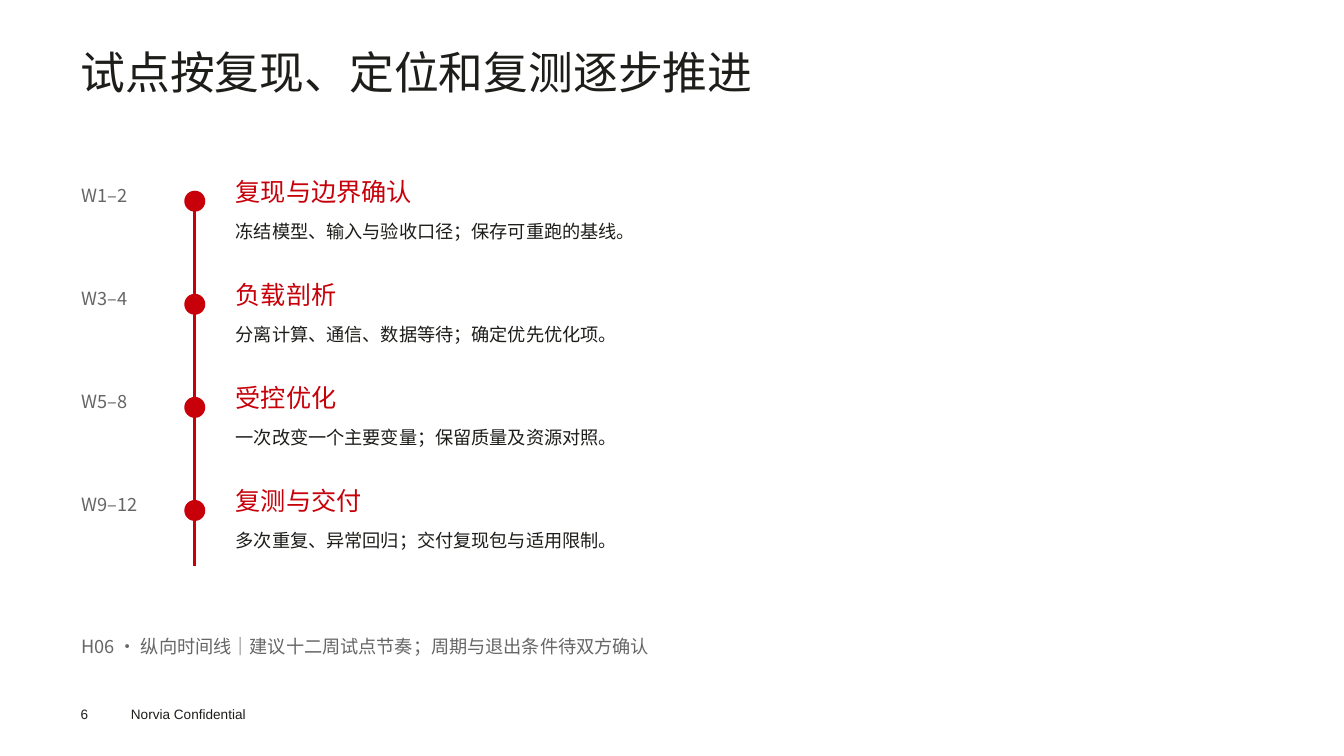
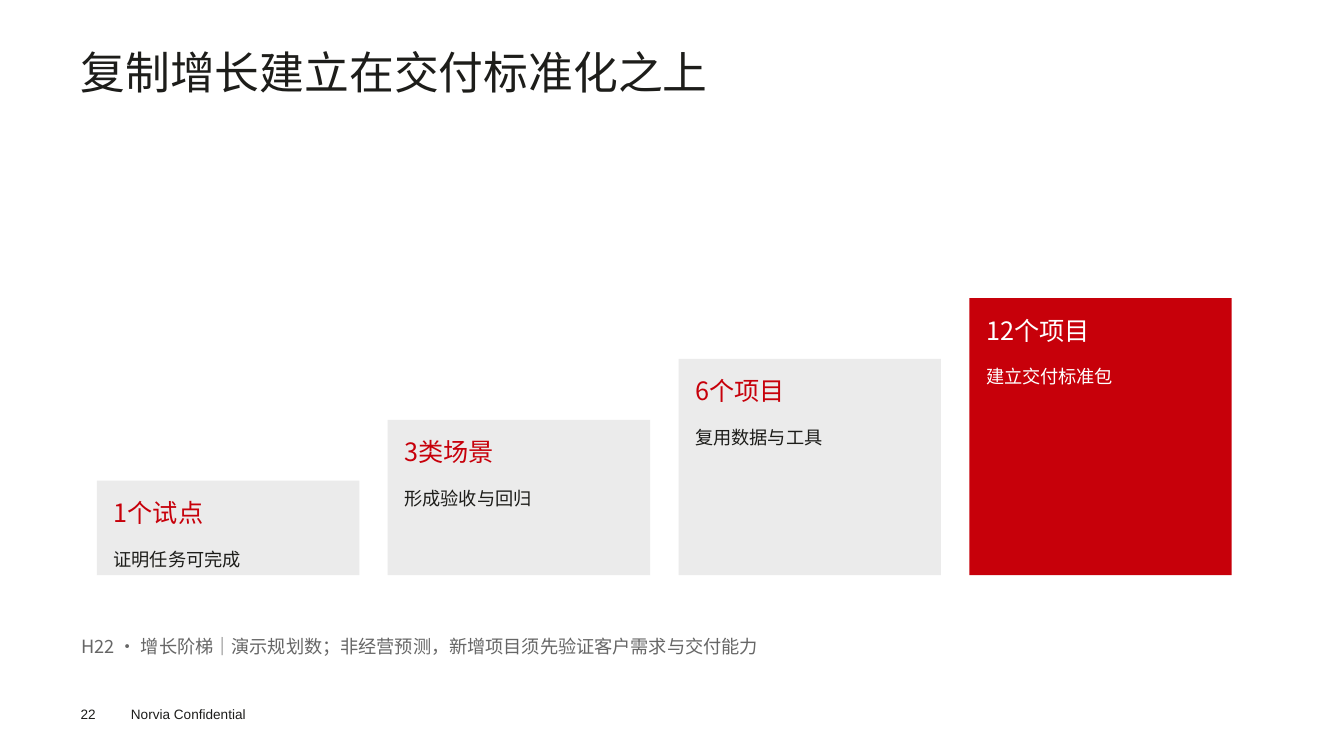
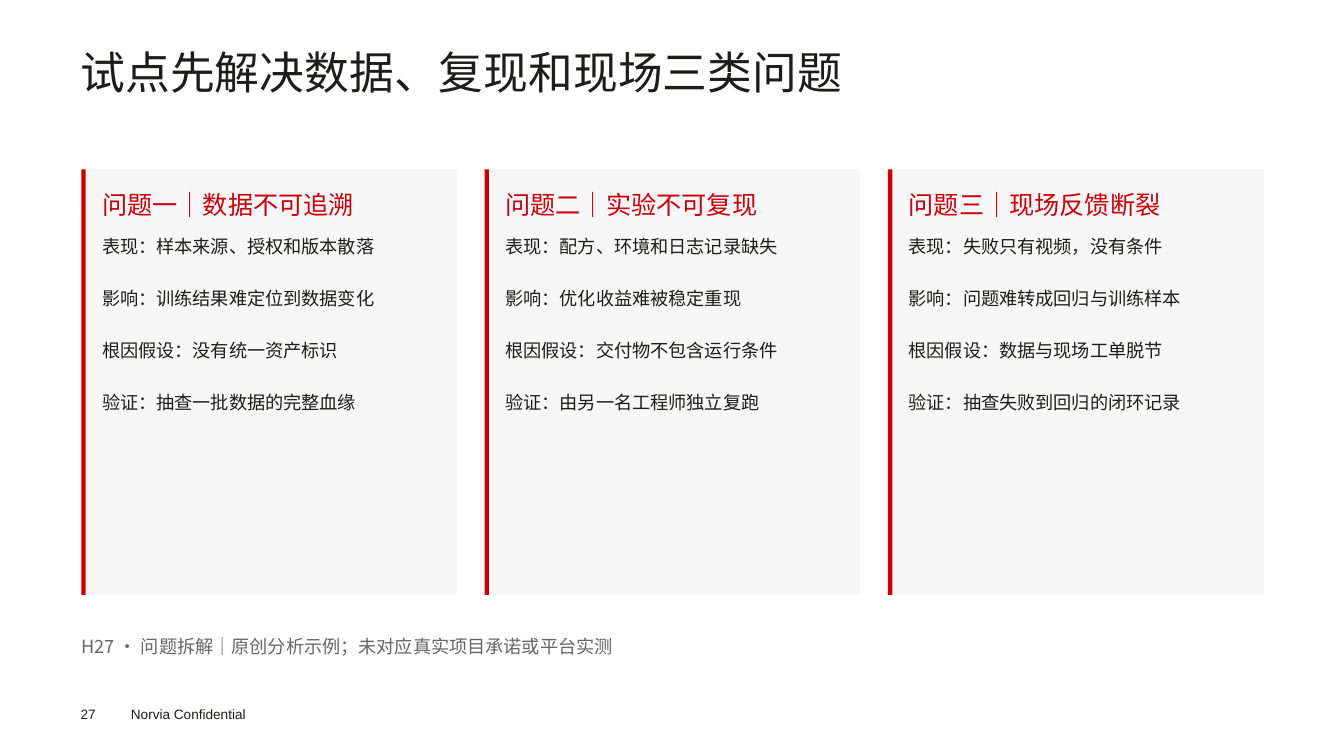
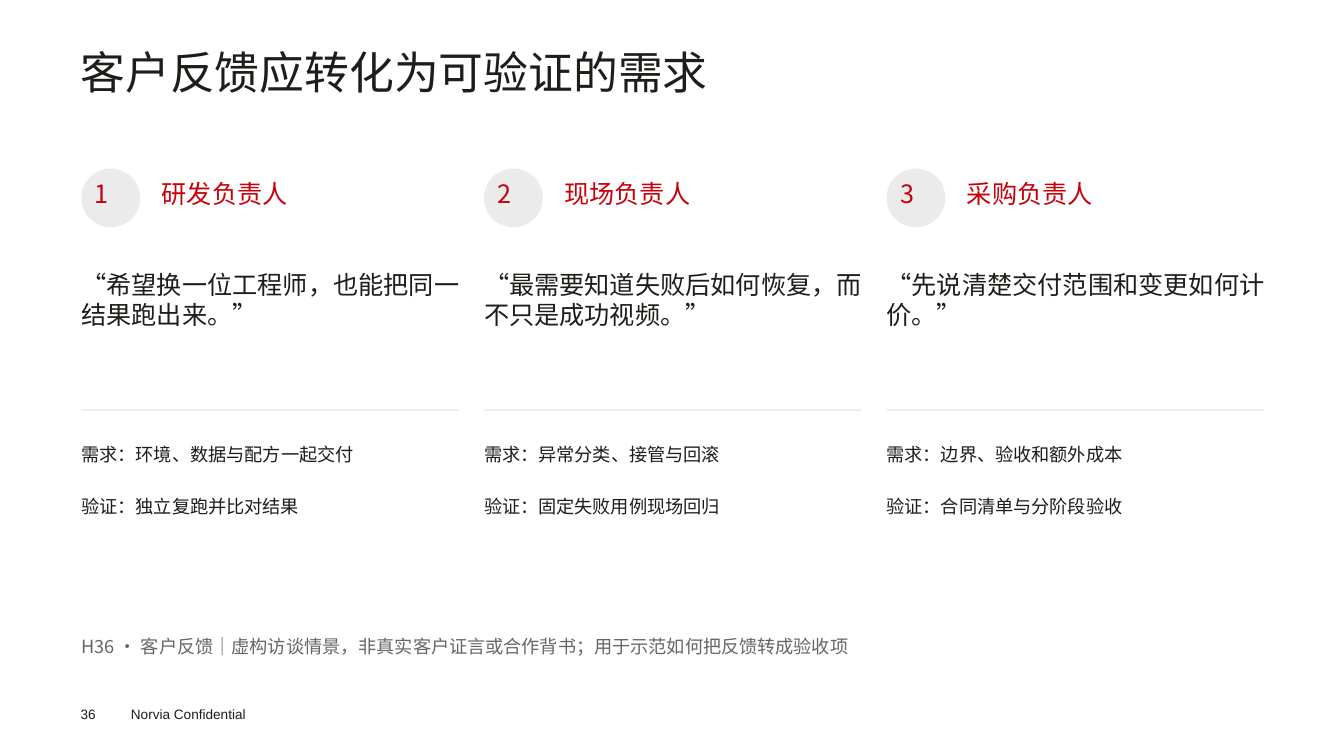
from dataclasses import dataclass

from lxml.etree import SubElement
from pptx import Presentation
from pptx.dml.color import RGBColor
from pptx.enum.shapes import MSO_CONNECTOR as Connector, MSO_SHAPE as Shape
from pptx.oxml.ns import qn
from pptx.util import Pt


@dataclass(frozen=True)
class Theme:
    """Colours, fonts and type sizes of the deck."""

    red: str = "C7000A"
    ink: str = "1D1D1A"
    footer_ink: str = "1D1D1B"
    muted: str = "666666"
    tile: str = "EBEBEB"
    card: str = "F7F7F7"
    white: str = "FFFFFF"
    font: str = "Noto Sans CJK SC"
    footer_font: str = "Arial"
    title_size: float = 32
    title_leading: float = 34.3
    heading_size: float = 18
    body_size: float = 13
    footer_size: float = 9.7
    leading: float = 1.2
    paragraph_gap: float = 21.6
    margin: float = 58.2


class Deck:
    """A presentation in one style, drawn slide by slide."""

    def __init__(self, theme):
        """Open an empty deck."""
        self.theme = theme
        self.prs = Presentation()
        self.prs.slide_width, self.prs.slide_height = Pt(960.5), Pt(540)
        self.slide = None

    def start(self, number, title, note):
        """Add a slide with its title, footer and source note."""
        theme = self.theme
        self.slide = self.prs.slides.add_slide(self.prs.slide_layouts[6])
        for left, width, footer in ((57.6, 39.6, str(number)), (93.6, 100.8, "Norvia Confidential")):
            self.text(left, 504, width, 11.5, [footer], theme.footer_size,
                      theme.footer_ink, font=theme.footer_font)
        self.text(57.6, 36, 846, 78.5, [title], theme.title_size, theme.ink, theme.title_leading)
        self.body(theme.margin, 453.6, 845.3, 32.4, [f"H{number:02} · {note}"], theme.muted)

    def text(self, left, top, width, height, lines, size, color, leading=None, font=None):
        """Place paragraphs in a box without insets."""
        theme = self.theme
        frame = self.slide.shapes.add_textbox(Pt(left), Pt(top), Pt(width), Pt(height)).text_frame
        frame.word_wrap = True
        frame.margin_left = frame.margin_top = frame.margin_right = frame.margin_bottom = 0
        for index, line in enumerate(lines):
            paragraph = frame.add_paragraph() if index else frame.paragraphs[0]
            paragraph.text = line
            if index:
                paragraph.space_before = Pt(theme.paragraph_gap)
            if not font:
                paragraph.line_spacing = Pt(leading or size * theme.leading)
            paragraph.font.size = Pt(size)
            paragraph.font.color.rgb = RGBColor.from_string(color)
            paragraph.font.name = font or theme.font
            defaults = paragraph._p.pPr.find(qn("a:defRPr"))
            SubElement(defaults, qn("a:ea")).set("typeface", font or theme.font)

    def heading(self, left, top, width, height, line, color=None):
        """Place a heading, red unless told otherwise."""
        self.text(left, top, width, height, [line], self.theme.heading_size, color or self.theme.red)

    def body(self, left, top, width, height, lines, color=None):
        """Place body paragraphs."""
        self.text(left, top, width, height, lines, self.theme.body_size, color or self.theme.ink)

    def block(self, left, top, width, height, color, kind=Shape.RECTANGLE):
        """Draw a filled shape without outline."""
        shape = self.slide.shapes.add_shape(kind, Pt(left), Pt(top), Pt(width), Pt(height))
        shape.shadow.inherit = False
        shape.fill.solid()
        shape.fill.fore_color.rgb = RGBColor.from_string(color)
        shape.line.fill.background()

    def dot(self, left, top, size, color):
        """Draw a filled circle."""
        self.block(left, top, size, size, color, Shape.OVAL)

    def vertical(self, x, top, bottom, color, weight):
        """Draw a vertical line."""
        line = self.slide.shapes.add_connector(Connector.STRAIGHT, Pt(x), Pt(top), Pt(x), Pt(bottom))
        line.line.color.rgb = RGBColor.from_string(color)
        line.line.width = Pt(weight)
        SubElement(line._element.spPr, qn("a:effectLst"))


def pilot_timeline(deck):
    """Draw the four phases of the pilot."""
    theme = deck.theme
    deck.start(6, "试点按复现、定位和复测逐步推进", "纵向时间线｜建议十二周试点节奏；周期与退出条件待双方确认")
    deck.vertical(139.2, 136.8, 404.6, theme.red, 2.25)
    phases = (
        ("W1–2", "复现与边界确认", "冻结模型、输入与验收口径；保存可重跑的基线。"),
        ("W3–4", "负载剖析", "分离计算、通信、数据等待；确定优先优化项。"),
        ("W5–8", "受控优化", "一次改变一个主要变量；保留质量及资源对照。"),
        ("W9–12", "复测与交付", "多次重复、异常回归；交付复现包与适用限制。"),
    )
    for index, (weeks, phase, work) in enumerate(phases):
        top = 125.8 + index * 73.65
        deck.dot(131.7, top + 10.4, 15, theme.red)
        deck.body(theme.margin, top + 5.8, 61.2, 26, [weeks], theme.muted)
        deck.heading(168.5, top, 210.2, 27.4, phase)
        deck.body(168.5, top + 31.4, 675.4, 31.7, [work])


def growth_steps(deck):
    """Draw the rising steps from pilot to standard package."""
    theme = deck.theme
    deck.start(22, "复制增长建立在交付标准化之上", "增长阶梯｜演示规划数；非经营预测，新增项目须先验证客户需求与交付能力")
    steps = (
        ("1个试点", "证明任务可完成"),
        ("3类场景", "形成验收与回归"),
        ("6个项目", "复用数据与工具"),
        ("12个项目", "建立交付标准包"),
    )
    for index, (scale, outcome) in enumerate(steps):
        final = index == len(steps) - 1
        left = 69.3 + index * 207.8
        height = 67.4 + index * 43.5
        top = 410.8 - height
        deck.block(left, top, 187.5, height, theme.red if final else theme.tile)
        deck.heading(left + 12, top + 12, 164.9, 28.8, scale, theme.white if final else None)
        deck.body(left + 12, top + 48, 163.4, 48.2, [outcome], theme.white if final else None)


def problem_cards(deck):
    """Draw one card for each kind of problem."""
    theme = deck.theme
    deck.start(27, "试点先解决数据、复现和现场三类问题", "问题拆解｜原创分析示例；未对应真实项目承诺或平台实测")
    problems = (
        ("问题一｜数据不可追溯", "样本来源、授权和版本散落", "训练结果难定位到数据变化",
         "没有统一资产标识", "抽查一批数据的完整血缘"),
        ("问题二｜实验不可复现", "配方、环境和日志记录缺失", "优化收益难被稳定重现",
         "交付物不包含运行条件", "由另一名工程师独立复跑"),
        ("问题三｜现场反馈断裂", "失败只有视频，没有条件", "问题难转成回归与训练样本",
         "数据与现场工单脱节", "抽查失败到回归的闭环记录"),
    )
    aspects = ("表现", "影响", "根因假设", "验证")
    for index, (problem, *findings) in enumerate(problems):
        left = theme.margin + index * 288.2
        deck.block(left, 121, 268.6, 304, theme.card)
        deck.block(left, 121, 3.1, 304, theme.red)
        deck.heading(left + 14.8, 135.4, 239, 27.4, problem)
        deck.body(left + 14.8, 167.8, 239, 245.5,
                  [f"{aspect}：{finding}" for aspect, finding in zip(aspects, findings)])


def customer_feedback(deck):
    """Draw what each customer role says and needs."""
    theme = deck.theme
    deck.start(36, "客户反馈应转化为可验证的需求", "客户反馈｜虚构访谈情景，非真实客户证言或合作背书；用于示范如何把反馈转成验收项")
    voices = (
        ("研发负责人", "“希望换一位工程师，也能把同一结果跑出来。”",
         "环境、数据与配方一起交付", "独立复跑并比对结果"),
        ("现场负责人", "“最需要知道失败后如何恢复，而不只是成功视频。”",
         "异常分类、接管与回滚", "固定失败用例现场回归"),
        ("采购负责人", "“先说清楚交付范围和变更如何计价。”",
         "边界、验收和额外成本", "合同清单与分阶段验收"),
    )
    for index, (role, quote, need, check) in enumerate(voices):
        left = theme.margin + index * 287.7
        deck.dot(left, 120.4, 42, theme.tile)
        deck.heading(left + 9.6, 127.4, 22.3, 23.8, str(index + 1))
        deck.heading(left + 57.4, 127.4, 211.7, 27.4, role)
        deck.heading(left, 192.2, 270, 82, quote, theme.ink)
        deck.block(left, 292.4, 270, 1.2, theme.tile)
        deck.body(left, 316.8, 270, 97.2, [f"需求：{need}", f"验证：{check}"])


def main():
    """Build and save the deck."""
    deck = Deck(Theme())
    for draw in (pilot_timeline, growth_steps, problem_cards, customer_feedback):
        draw(deck)
    deck.prs.save("out.pptx")


if __name__ == "__main__":
    main()
